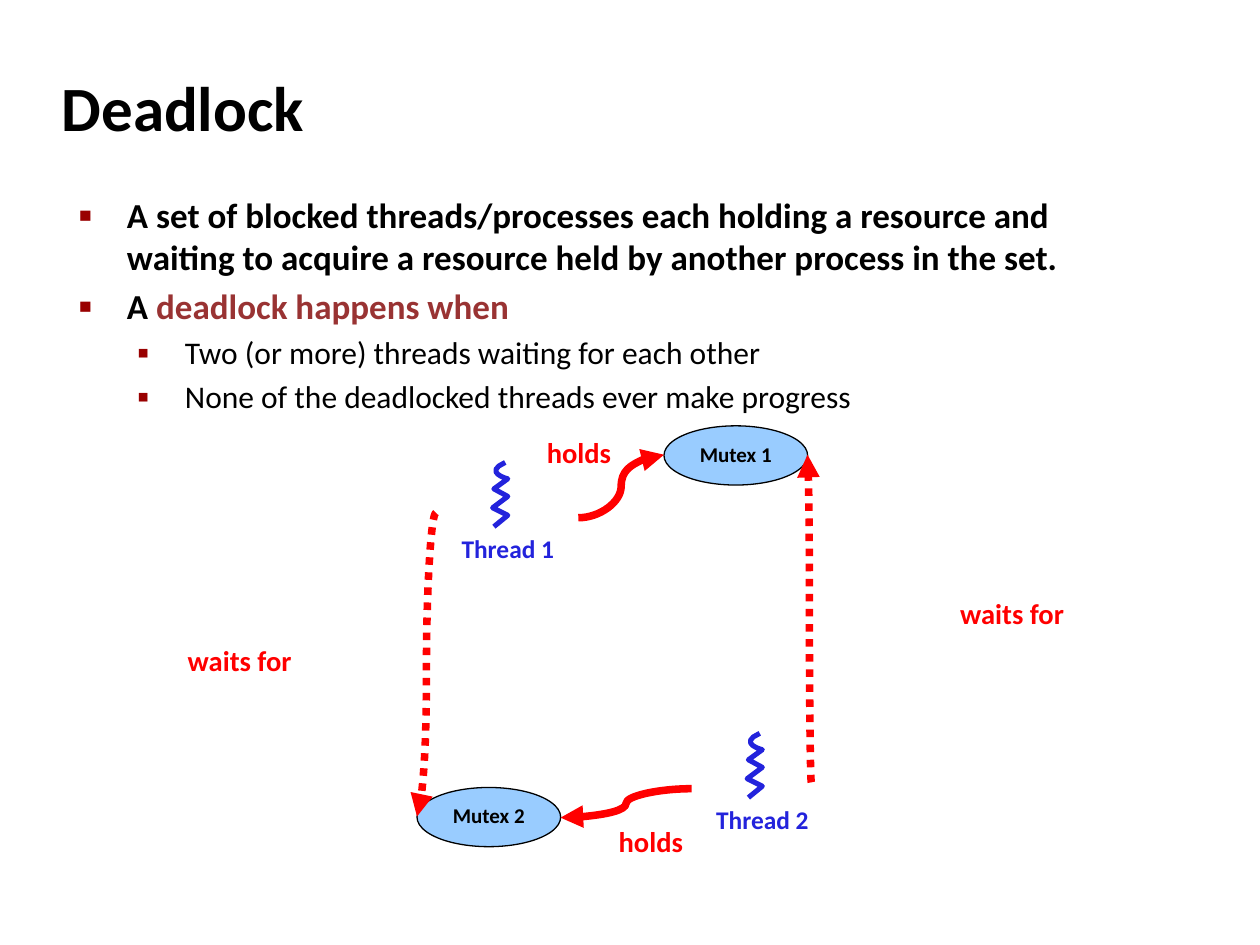
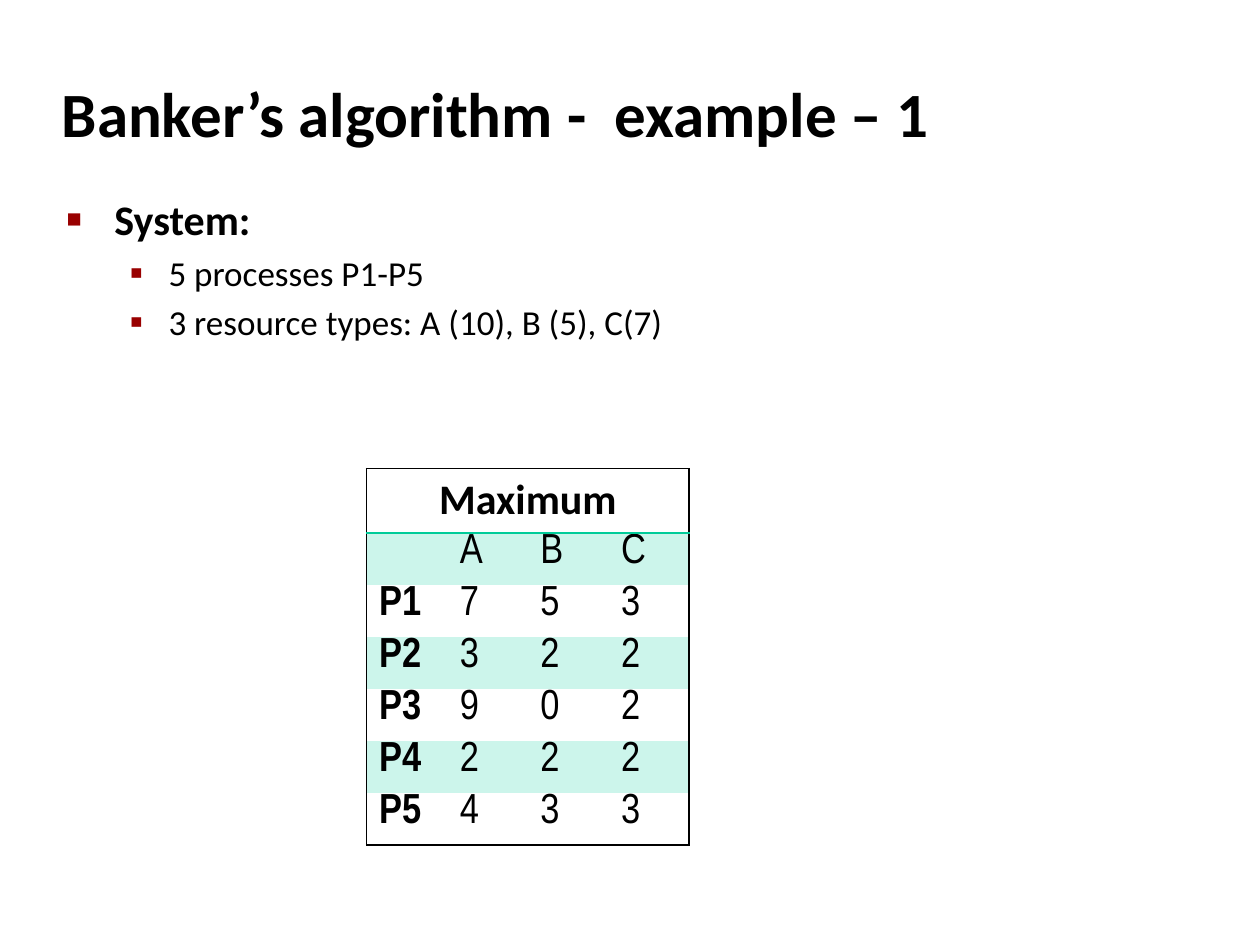
from lxml.etree import SubElement
from pptx import Presentation
from pptx.dml.color import RGBColor
from pptx.enum.dml import MSO_LINE
from pptx.enum.shapes import MSO_CONNECTOR, MSO_SHAPE
from pptx.enum.text import MSO_ANCHOR, PP_ALIGN
from pptx.oxml import parse_xml
from pptx.oxml.ns import nsdecls, qn
from pptx.util import Inches, Pt

# The slide is a grid of 100 columns and 75 rows of square cells.
COLUMNS, ROWS = 100, 75
CELL = Inches(0.1)

FONT, TABLE_FONT = "Calibri", "Arial Narrow"
BLACK, RED, BLUE = "000000", "FF0000", "2323DC"
DARK_RED, BULLET_RED = "993333", "990000"
LIGHT_BLUE, GREEN, PALE_GREEN = "99CCFF", "00CC99", "CCF5EB"

TITLE_AREA = (3.9, 4.8, 83, 8.3)
BODY_AREA = (4.3, 14.9, 86.4, 54.4)
BULLETS = (("■", 60), ("▪", 110))  # character and size in percent, by level
NO_TABLE_STYLE = "{2D5ABB26-0587-4C30-8999-92F81FD0307C}"

MAXIMUM = (
    ("", "A", "B", "C"),
    ("P1", "7", "5", "3"),
    ("P2", "3", "2", "2"),
    ("P3", "9", "0", "2"),
    ("P4", "2", "2", "2"),
    ("P5", "4", "3", "3"),
)


def grid(*units):
    return [round(unit * CELL) for unit in units]


def color(hex_string):
    return RGBColor.from_string(hex_string)


def set_font(paragraph, size, hex_string=BLACK, bold=True, name=FONT):
    font = paragraph.font
    font.name, font.size, font.bold = name, Pt(size), bold
    font.color.rgb = color(hex_string)


def set_line(shape, hex_string, width):
    shape.line.color.rgb = color(hex_string)
    shape.line.width = Pt(width)


def add_titled_slide(presentation, text, line_spacing=1.0):
    slide = presentation.slides.add_slide(presentation.slide_layouts[5])
    title = slide.shapes.title
    title.left, title.top, title.width, title.height = grid(*TITLE_AREA)
    title.text_frame.text = text
    title.text_frame.vertical_anchor = MSO_ANCHOR.MIDDLE
    paragraph = title.text_frame.paragraphs[0]
    paragraph.alignment = PP_ALIGN.LEFT
    paragraph.line_spacing = line_spacing
    set_font(paragraph, 36)
    return slide


def set_bullet(paragraph, level, margin, hanging):
    character, percent = BULLETS[level]
    properties = paragraph._p.get_or_add_pPr()
    margin, hanging = grid(margin, hanging)
    properties.set("marL", str(margin))
    properties.set("indent", str(-hanging))
    bullet_color = SubElement(properties, qn("a:buClr"))
    SubElement(bullet_color, qn("a:srgbClr"), val=BULLET_RED)
    SubElement(properties, qn("a:buSzPct"), val=str(percent * 1000))
    SubElement(properties, qn("a:buFont"), typeface="Arial")
    SubElement(properties, qn("a:buChar"), char=character)


def add_bullets(slide, items, sizes, indents):
    """Items are (level, runs); a run is (text, colour). Sizes and indents go by level."""
    frame = slide.shapes.add_textbox(*grid(*BODY_AREA)).text_frame
    frame.word_wrap = True
    for index, (level, runs) in enumerate(items):
        paragraph = frame.add_paragraph() if index else frame.paragraphs[0]
        paragraph.level = level
        paragraph.space_before = Pt(sizes[level] * 0.2)
        set_bullet(paragraph, level, *indents[level])
        set_font(paragraph, sizes[level], bold=level == 0)
        for text, hex_string in runs:
            run = paragraph.add_run()
            run.text = text
            run.font.color.rgb = color(hex_string)


def write_label(shape, text, size, hex_string, alignment):
    frame = shape.text_frame
    frame.margin_left = frame.margin_right = Inches(0.09)
    frame.margin_top = frame.margin_bottom = Inches(0.04)
    frame.word_wrap = False
    frame.text = text
    paragraph = frame.paragraphs[0]
    paragraph.alignment = alignment
    paragraph.line_spacing = 0.9
    set_font(paragraph, size, hex_string)


def add_relation_label(slide, text, left, top, width):
    box = slide.shapes.add_textbox(*grid(left, top, width, 3.5))
    write_label(box, text, 16.3, RED, PP_ALIGN.LEFT)


def add_mutex(slide, text, left, top):
    mutex = slide.shapes.add_shape(MSO_SHAPE.OVAL, *grid(left, top, 11.4, 4.7))
    mutex.shadow.inherit = False
    mutex.fill.solid()
    mutex.fill.fore_color.rgb = color(LIGHT_BLUE)
    set_line(mutex, BLACK, 0.75)
    mutex.text_frame.vertical_anchor = MSO_ANCHOR.MIDDLE
    write_label(mutex, text, 12, BLACK, PP_ALIGN.CENTER)


def curve_points(start, control, end, steps=8):
    """Points on a cubic curve whose second control point is its end."""
    for step in range(steps + 1):
        t = step / steps
        weights = ((1 - t) ** 3, 3 * t * (1 - t) ** 2, 3 * t * t * (1 - t) + t ** 3)
        yield tuple(
            sum(weight * value for weight, value in zip(weights, values))
            for values in zip(start, control, end)
        )


def add_thread(slide, text, left, top):
    """A zigzag thread with its name below."""
    hook = curve_points((1.8, 0), (0, 0.8), (2, 1.3))
    zigzag = [(0.9, 2.1), (2, 2.7), (0.8, 3.6), (2, 4.2), (0.9, 5.1)]
    points = [grid(left + x, top + y) for x, y in [*hook, *zigzag]]
    builder = slide.shapes.build_freeform(*points[0])
    builder.add_line_segments(points[1:], close=False)
    thread = builder.convert_to_shape()
    thread.shadow.inherit = False
    thread.fill.background()
    set_line(thread, BLUE, 2.89)
    box = slide.shapes.add_textbox(*grid(left - 3.6, top + 5.5, 11.2, 3.3))
    write_label(box, text, 14.5, BLUE, PP_ALIGN.CENTER)


def add_curved_arrow(slide, start, end, dotted=False):
    arrow = slide.shapes.add_connector(MSO_CONNECTOR.CURVE, *grid(*start, *end))
    set_line(arrow, RED, 4.31)
    if dotted:
        arrow.line.dash_style = MSO_LINE.ROUND_DOT
    SubElement(arrow.line._get_or_add_ln(), qn("a:tailEnd"), type="triangle")
    SubElement(arrow._element.spPr, qn("a:effectLst"))


def set_borders(cell, sides):
    """Sides maps L, R, T and B, in that order, to colours."""
    properties = cell._tc.get_or_add_tcPr()
    for index, (side, hex_string) in enumerate(sides.items()):
        properties.insert(index, parse_xml(
            f'<a:ln{side} {nsdecls("a")} w="12700"><a:solidFill>'
            f'<a:srgbClr val="{hex_string}"/></a:solidFill></a:ln{side}>'
        ))


def write_cell(cell, text, bold, name):
    cell.text = text
    set_font(cell.text_frame.paragraphs[0], 24, bold=bold, name=name)


def add_matrix(slide, heading, rows, left, top):
    """A table with a merged heading and every other row shaded."""
    column_width, row_height, heading_height = 6.4, 4.13, 5.1
    row_count, column_count = len(rows) + 1, len(rows[0])
    size = (column_width * column_count, heading_height + row_height * len(rows))
    frame = slide.shapes.add_table(row_count, column_count, *grid(left, top, *size))
    table = frame.table
    table.first_row = table.horz_banding = False
    table._tbl.tblPr.find(qn("a:tableStyleId")).text = NO_TABLE_STYLE
    for row_index, row in enumerate(table.rows):
        row.height = grid(row_height if row_index else heading_height)[0]
        for column_index, cell in enumerate(row.cells):
            if row_index % 2:
                cell.fill.solid()
                cell.fill.fore_color.rgb = color(PALE_GREEN)
            else:
                cell.fill.background()
            sides = {}
            if column_index == 0:
                sides["L"] = BLACK
            if column_index == column_count - 1 or row_index == 0:
                sides["R"] = BLACK
            if row_index == 0:
                sides.update(T=BLACK, B=GREEN)
            if row_index == row_count - 1:
                sides["B"] = BLACK
            set_borders(cell, sides)
            if row_index:
                cell.margin_top = cell.margin_bottom = 0
                text = rows[row_index - 1][column_index]
                write_cell(cell, text, column_index == 0, TABLE_FONT)
    table.cell(0, 0).merge(table.cell(0, column_count - 1))
    write_cell(table.cell(0, 0), heading, True, FONT)
    table.cell(0, 0).text_frame.paragraphs[0].alignment = PP_ALIGN.CENTER


def add_deadlock_slide(presentation):
    slide = add_titled_slide(presentation, "Deadlock", line_spacing=0.82)
    add_bullets(slide, [
        (0, [("A set of blocked threads/processes each holding a resource and "
              "waiting to acquire a resource held by another process in the set.", BLACK)]),
        (0, [("A ", BLACK), ("deadlock happens when", DARK_RED)]),
        (1, [("Two (or more) threads waiting for each other", BLACK)]),
        (1, [("None of the deadlocked threads ever make progress", BLACK)]),
    ], sizes=(20, 18), indents=((4.8, 3.8), (9.4, 3.8)))

    add_mutex(slide, "Mutex 1", 52.7, 33.8)
    add_thread(slide, "Thread 1", 38.3, 36.7)
    add_thread(slide, "Thread 2", 58.5, 58.2)
    add_mutex(slide, "Mutex 2", 33.1, 62.5)

    add_curved_arrow(slide, (54.9, 62.6), (44.5, 64.9))
    add_curved_arrow(slide, (45.9, 41.1), (52.7, 36.1))
    add_curved_arrow(slide, (64.4, 62.1), (64.1, 36.1), dotted=True)
    add_curved_arrow(slide, (34.6, 40.7), (33.1, 64.8), dotted=True)

    for left, top in ((42.5, 34.4), (48.2, 65.3)):
        add_relation_label(slide, "holds", left, top, 7.4)
    for left, top in ((75.3, 47.2), (14, 50.9)):
        add_relation_label(slide, "waits for", left, top, 10.7)


def add_banker_slide(presentation):
    slide = add_titled_slide(presentation, "Banker’s algorithm -  example – 1")
    add_bullets(slide, [
        (0, [("System:", BLACK)]),
        (1, [("5 processes P1-P5", BLACK)]),
        (1, [("3 resource types: A (10), B (5), C(7)", BLACK)]),
    ], sizes=(24, 20), indents=((3.8, 3.8), (8.1, 3.1)))
    add_matrix(slide, "Maximum", MAXIMUM, 29.1, 37.2)


def main():
    presentation = Presentation()
    presentation.slide_width, presentation.slide_height = grid(COLUMNS, ROWS)
    add_deadlock_slide(presentation)
    add_banker_slide(presentation)
    presentation.save("out.pptx")


if __name__ == "__main__":
    main()
